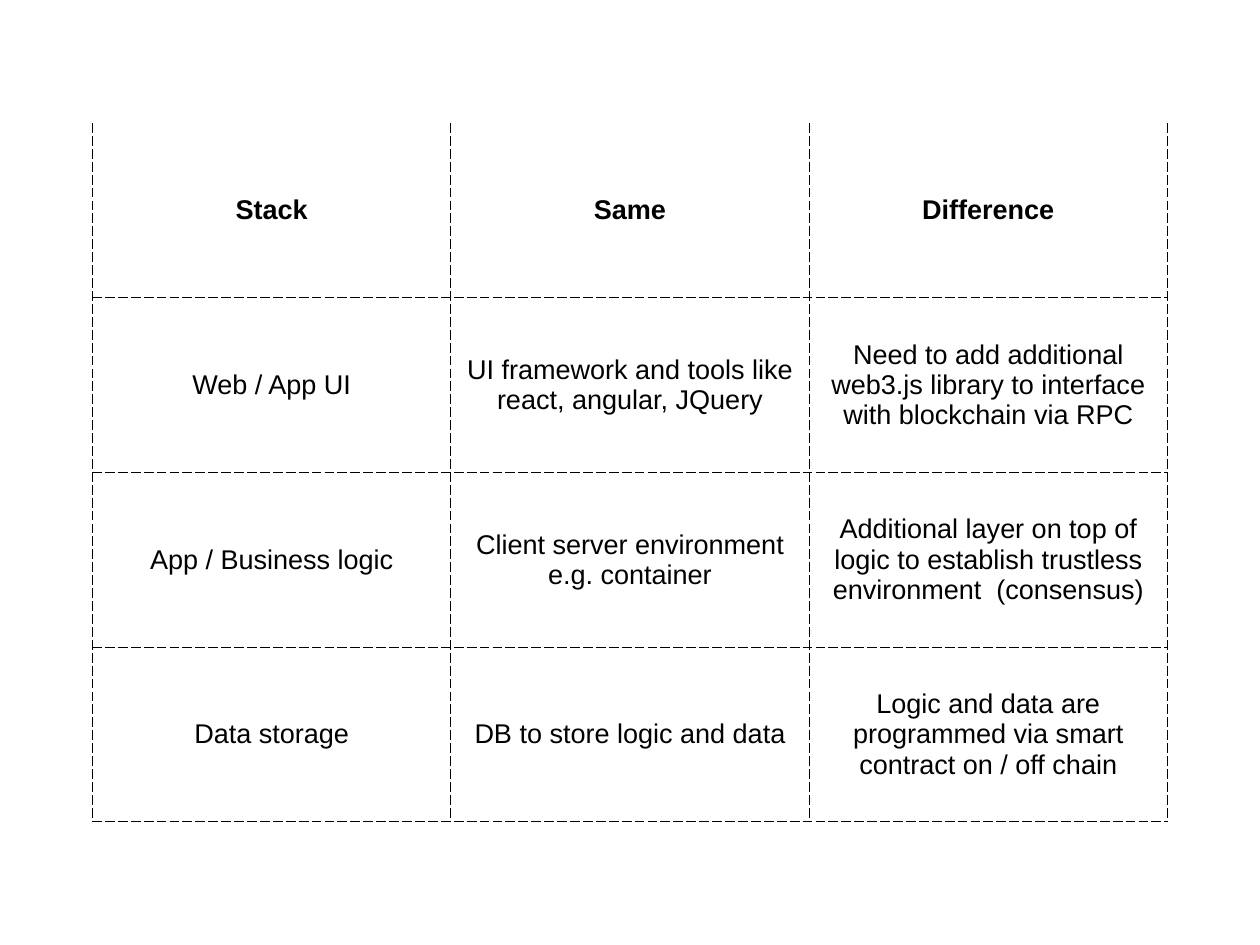
from lxml import etree
from pptx import Presentation
from pptx.dml.color import RGBColor
from pptx.enum.text import MSO_ANCHOR, PP_ALIGN
from pptx.oxml.ns import qn
from pptx.util import Pt

MID = MSO_ANCHOR.MIDDLE
CENTER = PP_ALIGN.CENTER
BLACK = "000000"
WIDE, HIGH = 291.2, 142

ROWS = [
    ["Stack", "Same", "Difference"],
    ["Web / App UI",
     "UI framework and tools like react, angular, JQuery",
     "Need to add additional web3.js library to interface with blockchain via RPC"],
    ["App / Business logic",
     "Client server environment e.g. container",
     "Additional layer on top of logic to establish trustless environment  (consensus)"],
    ["Data storage",
     "DB to store logic and data",
     "Logic and data are programmed via smart contract on / off chain"],
]


def write(cell, text, size=22, bold=False, color=BLACK, font="Arial"):
    para = cell.text_frame.paragraphs[0]
    para.alignment = CENTER
    run = para.add_run()
    run.text = text
    run.font.size = Pt(size)
    run.font.bold = bold
    run.font.name = font
    run.font.color.rgb = RGBColor.from_string(color)


def border(cell, side, shown):
    props = cell._tc.get_or_add_tcPr()
    line = etree.SubElement(props, qn("a:ln" + side), w=str(Pt(1)))
    if shown:
        fill = etree.SubElement(line, qn("a:solidFill"))
        etree.SubElement(fill, qn("a:srgbClr"), val=BLACK)
        etree.SubElement(line, qn("a:prstDash"), val="lgDash")
    else:
        etree.SubElement(line, qn("a:noFill"))


prs = Presentation()
prs.slide_width, prs.slide_height = Pt(1024), Pt(768)
slide = prs.slides.add_slide(prs.slide_layouts[6])

frame = slide.shapes.add_table(
    len(ROWS), len(ROWS[0]), Pt(75.2), Pt(100),
    Pt(WIDE * len(ROWS[0])), Pt(HIGH * len(ROWS)))
table = frame.table
table.first_row = False
table.horz_banding = False
for col in table.columns:
    col.width = Pt(WIDE)
for row in table.rows:
    row.height = Pt(HIGH)

for r, texts in enumerate(ROWS):
    for c, text in enumerate(texts):
        cell = table.cell(r, c)
        cell.vertical_anchor = MID
        cell.margin_left = cell.margin_right = Pt(4)
        cell.margin_top = cell.margin_bottom = Pt(4)
        for side in "LRTB":
            border(cell, side, side != "T" or r > 0)
        cell.fill.background()
        write(cell, text, bold=r == 0)

prs.save("out.pptx")
